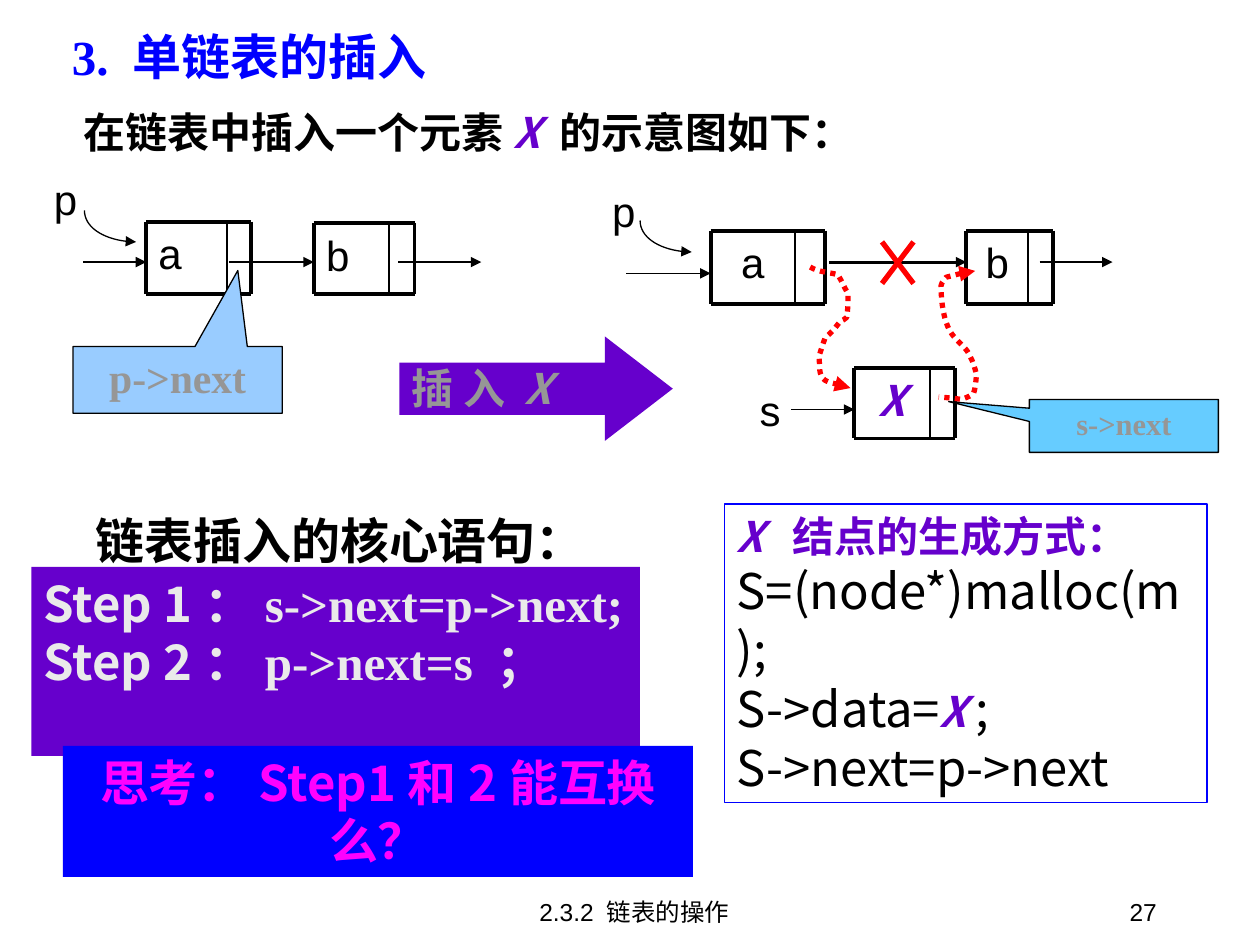
from lxml import etree
from pptx import Presentation
from pptx import util as u
from pptx.dml import color
from pptx.enum import dml, shapes, text
from pptx.oxml import ns

Inches, Pt = u.Inches, u.Pt
LEFT, CENTER, RIGHT = text.PP_ALIGN.LEFT, text.PP_ALIGN.CENTER, text.PP_ALIGN.RIGHT
TOP, MIDDLE, BOTTOM = text.MSO_ANCHOR.TOP, text.MSO_ANCHOR.MIDDLE, text.MSO_ANCHOR.BOTTOM
KIND = shapes.MSO_SHAPE

THEME = {
    "sans": "Arial", "serif": "Times New Roman", "cjk": "Noto Sans CJK SC",
    "black": "000000", "blue": "0000FF", "purple": "6600CC", "grey": "969696",
    "pale": "EAEAEA", "pink": "FF00FF", "red": "FF0000",
    "sky": "99CCFF", "cyan": "66CCFF",
    "head": 28, "body": 24, "call": 23.8, "small_call": 17.4, "foot": 14,
    "thin": 0.74, "divider": 0.99, "cut": 1.76, "border": 2.24, "bold_line": 3,
}

# Text styles: font, size, colour, bold, italic
TITLE = ("serif", "head", "blue", True, False)
LEAD = ("cjk", "body", "black", True, False)
HEADING = ("cjk", "head", "black", True, False)
ELEMENT = ("cjk", "body", "purple", True, True)
ELEMENT_NOTE = ("cjk", "body", "purple", True, False)
LABEL = ("sans", "body", "black", False, False)
STEP = ("cjk", "head", "pale", True, False)
STEP_CODE = ("serif", "head", "pale", True, False)
CODE = ("cjk", "head", "black", False, False)
QUESTION = ("cjk", "head", "pink", True, False)
INSERT = ("cjk", "body", "grey", True, False)
INSERT_X = ("cjk", "body", "grey", True, True)
CALL = ("serif", "call", "grey", True, False)
SMALL_CALL = ("serif", "small_call", "grey", True, False)
FOOT = ("sans", "foot", "black", False, False)

# Content: each paragraph is a list of (text, style)
title_line = [[("3. 单链表的插入", TITLE)]]
lead = [[("在链表中插入一个元素", LEAD), ("X ", ELEMENT), ("的示意图如下：", LEAD)]]
core_heading = [[("链表插入的核心语句：", HEADING)]]
steps = [[("Step 1：", STEP), ("s->next=p->next;", STEP_CODE)],
         [("Step 2：", STEP), ("p->next=s ；", STEP_CODE)]]
question = [[("思考：Step1和2能互换么？", QUESTION)]]
creation = [[("X  ", ELEMENT), ("结点的生成方式：", ELEMENT_NOTE)],
            [("S=(node*)malloc(m);", CODE)],
            [("S->data=", CODE), ("X ", ELEMENT), (";", CODE)],
            [("S->next=p->next", CODE)]]
insert_label = [[("插 入 ", INSERT), ("X ", INSERT_X)]]

# Nodes: label, style, box, width of the data field, alignment
new_node = ("X", ELEMENT, (6.78, 2.92, 0.8, 0.56), 0.6, CENTER)
list_nodes = [
    ("a", LABEL, (1.16, 1.76, 0.83, 0.57), 0.64, LEFT),
    ("b", LABEL, (2.49, 1.77, 0.8, 0.56), 0.6, LEFT),
    ("b", LABEL, (7.67, 1.83, 0.69, 0.58), 0.49, CENTER),
    ("a", LABEL, (5.64, 1.83, 0.91, 0.58), 0.67, CENTER),
]
# Pointers: start x, end x, y, weight
pointers = [(6.28, 6.78, 3.25, "thin"), (0.66, 1.16, 2.08, "thin"),
            (1.82, 2.49, 2.08, "thin"), (3.16, 3.82, 2.08, "thin"),
            (4.97, 5.64, 2.17, "thin"), (8.25, 8.83, 2.08, "thin"),
            (6.58, 7.67, 2.08, "cut")]
pointer_names = [("p", 0.33, 1.33), ("p", 4.76, 1.42), ("s", 5.93, 3.0)]
swoops = [(0.67, 1.67), (5.08, 1.75)]
# Curves: a start point, then three points for each Bezier segment
a_to_x = [(6.43, 2.12), (6.5, 2.16), (6.57, 2.16), (6.65, 2.18),
          (6.68, 2.23), (6.7, 2.28), (6.73, 2.33), (6.73, 2.39), (6.73, 2.46), (6.72, 2.52),
          (6.71, 2.54), (6.68, 2.54), (6.67, 2.55), (6.65, 2.56), (6.65, 2.59), (6.63, 2.6),
          (6.61, 2.63), (6.55, 2.68), (6.55, 2.68), (6.53, 2.73), (6.5, 2.83), (6.5, 2.83),
          (6.51, 2.9), (6.49, 2.98), (6.55, 3.02), (6.59, 3.04), (6.66, 3.05), (6.7, 3.07),
          (6.72, 3.07), (6.75, 3.08), (6.75, 3.08)]
b_to_x = [(7.74, 2.15), (7.65, 2.16), (7.59, 2.18), (7.51, 2.2),
          (7.49, 2.22), (7.46, 2.26), (7.47, 2.29), (7.47, 2.39), (7.49, 2.58), (7.57, 2.67),
          (7.61, 2.72), (7.68, 2.77), (7.7, 2.83), (7.72, 2.86), (7.74, 2.93), (7.75, 2.97),
          (7.75, 2.98), (7.74, 3.12), (7.72, 3.13), (7.69, 3.15), (7.63, 3.17), (7.63, 3.17),
          (7.57, 3.16), (7.45, 3.15), (7.45, 3.15)]

deck = Presentation()
deck.slide_width, deck.slide_height = Inches(10), Inches(7.5)
slide = deck.slides.add_slide(deck.slide_layouts[5])


def rgb(name):
    """Return a theme colour."""
    return color.RGBColor.from_string(THEME[name])


def set_font(font, style):
    """Apply a text style to a paragraph's or run's font."""
    face, size, tint, font.bold, font.italic = style
    font.size, font.name = Pt(THEME[size]), THEME[face]
    font.color.rgb = rgb(tint)
    etree.SubElement(font._rPr, ns.qn("a:ea"), typeface=THEME["cjk"])


def write(part, paragraphs, align=LEFT, anchor=TOP, wrap=True, before=0, spacing=None):
    """Fill a part's text frame with styled paragraphs."""
    frame = part.text_frame
    frame.auto_size = text.MSO_AUTO_SIZE.NONE
    frame.word_wrap, frame.vertical_anchor = wrap, anchor
    for i, runs in enumerate(paragraphs):
        paragraph = frame.add_paragraph() if i else frame.paragraphs[0]
        paragraph.alignment, paragraph.line_spacing = align, spacing
        paragraph.space_before = Pt(before)
        shared = len({style for _, style in runs}) == 1
        if shared:
            set_font(paragraph.font, runs[0][1])
        for words, style in runs:
            run = paragraph.add_run()
            run.text = words
            if not shared:
                set_font(run.font, style)


def label(box, paragraphs, **layout):
    """Add a text box."""
    write(slide.shapes.add_textbox(*map(Inches, box)), paragraphs, **layout)


def stroke(line, tint, weight, arrow=None):
    """Style a line, with an arrowhead at headEnd or tailEnd if asked."""
    line.color.rgb, line.width = rgb(tint), Pt(THEME[weight])
    if arrow:
        etree.SubElement(line._get_or_add_ln(), ns.qn("a:" + arrow), type="triangle")


def panel(kind, box, fill=None, edge=None, adjust=()):
    """Add a preset shape with flat fill and outline."""
    shape = slide.shapes.add_shape(kind, *map(Inches, box))
    shape.shadow.inherit = False
    for i, value in enumerate(adjust):
        shape.adjustments[i] = value
    if fill:
        shape.fill.solid()
        shape.fill.fore_color.rgb = rgb(fill)
    else:
        shape.fill.background()
    if edge:
        stroke(shape.line, edge, "thin")
    else:
        shape.line.fill.background()
    return shape


def segment(start, end, tint="black", weight="thin", arrow=None):
    """Add a straight line."""
    line = slide.shapes.add_connector(shapes.MSO_CONNECTOR.STRAIGHT, *map(Inches, start + end))
    stroke(line.line, tint, weight, arrow)
    etree.SubElement(line._element.spPr, ns.qn("a:effectLst"))


def node(name, style, box, data_width, align):
    """Add a list node: a data field and a pointer field, ruled with lines."""
    left, top, width, height = box
    right, bottom = left + width, top + height
    label((left, top, data_width, height), [[(name, style)]], align=align, before=6)
    for y in (top, bottom):
        segment((left, y), (right, y), weight="border")
    for x, weight in [(left, "border"), (left + data_width, "divider"), (right, "border")]:
        segment((x, top), (x, bottom), weight=weight)


def curve(points, tint, weight, arrow, dash=None):
    """Add an open Bezier curve."""
    start, *rest = [(Inches(x), Inches(y)) for x, y in points]
    builder = slide.shapes.build_freeform(*start)
    builder.add_line_segments(rest, close=False)
    shape = builder.convert_to_shape()
    shape.shadow.inherit = False
    shape.fill.background()
    if dash:
        shape.line.dash_style = dash
    stroke(shape.line, tint, weight, arrow)
    outline = next(shape._element.iter(ns.qn("a:path")))
    corners = outline.findall(ns.qn("a:lnTo"))
    for i in range(0, len(corners), 3):
        bezier = etree.SubElement(outline, ns.qn("a:cubicBezTo"))
        for corner in corners[i:i + 3]:
            bezier.append(corner[0])
            outline.remove(corner)


title = slide.shapes.title
title.left, title.top, title.width, title.height = map(Inches, (0.47, 0.16, 5.42, 0.57))
write(title, title_line, anchor=MIDDLE)
label((0.56, 0.8, 6.31, 0.5), lead, align=CENTER, wrap=False)

for item in [new_node] + list_nodes:
    node(*item)
for start, end, y, weight in pointers:
    segment((start, y), (end, y), weight=weight, arrow="tailEnd")
for name, left, top in pointer_names:
    label((left, top, 0.39, 0.5), [[(name, LABEL)]])
for x, y in swoops:
    curve([(x, y), (x, y + 0.13), (x + 0.18, y + 0.25), (x + 0.41, y + 0.25)],
          "black", "thin", "tailEnd")
for points, arrow in [(a_to_x, "tailEnd"), (b_to_x, "headEnd")]:
    curve(points, "red", "bold_line", arrow, dml.MSO_LINE.ROUND_DOT)
for start, end in [(7.25, 7.0), (7.0, 7.25)]:
    segment((start, 1.92), (end, 2.25), "red", "bold_line")

p_next = panel(KIND.RECTANGULAR_CALLOUT, (0.58, 2.75, 1.66, 0.53), "sky", "black",
               adjust=(0.288, -1.638))
write(p_next, [[("p->next", CALL)]], CENTER, MIDDLE, spacing=0.9)
s_next = panel(KIND.RECTANGULAR_CALLOUT, (8.17, 3.17, 1.5, 0.42), "cyan", "black",
               adjust=(-0.927, -0.458))
write(s_next, [[("s->next", SMALL_CALL)]], CENTER, MIDDLE, spacing=0.9)
panel(KIND.RIGHT_ARROW, (3.17, 2.67, 2.17, 0.83), "purple", adjust=(0.5, 0.65))
label((3.17, 2.83, 1.7, 0.5), insert_label, before=15)

label((0.66, 4, 4.08, 0.57), core_heading, align=CENTER, wrap=False)
write(panel(KIND.RECTANGLE, (0.25, 4.5, 4.83, 1.5), "purple"), steps)
think = panel(KIND.RECTANGLE, (0.5, 5.92, 5, 1.04), "blue")
think.text_frame.margin_left = think.text_frame.margin_right = Inches(0.15)
write(think, question, CENTER)
write(panel(KIND.RECTANGLE, (5.75, 4, 3.83, 2.37), edge="blue"), creation)
label((3.45, 6.9, 3.17, 0.5), [[("2.3.2 链表的操作", FOOT)]], align=CENTER, anchor=BOTTOM)
label((7.2, 6.9, 2.08, 0.5), [[("27", FOOT)]], align=RIGHT, anchor=BOTTOM)

deck.save("out.pptx")
